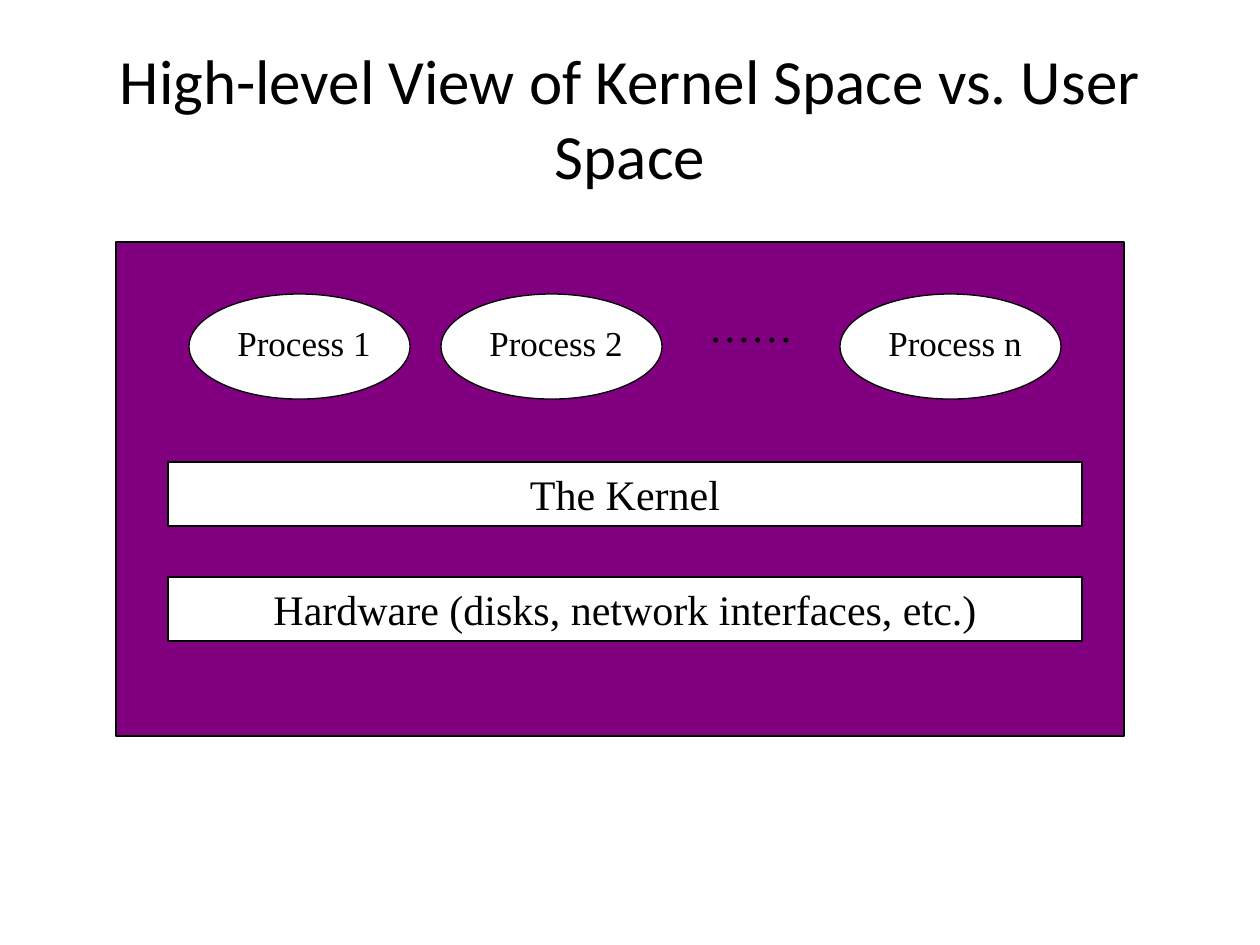
from pptx import Presentation
from pptx.dml.color import RGBColor as RGB
from pptx.enum.shapes import MSO_SHAPE as Kind
from pptx.enum.text import MSO_ANCHOR as Anchor, PP_ALIGN as Align
from pptx.util import Emu, Pt

SCALE = 914400 / 126
SERIF = "Times New Roman"


def px(n):
    return Emu(round(n * SCALE))


def paint(color, code):
    color.rgb = RGB.from_string(code)


def write(frame, text, size, face=SERIF, anchor=Anchor.TOP):
    frame.word_wrap = True
    frame.vertical_anchor = anchor
    para = frame.paragraphs[0]
    para.alignment = Align.CENTER
    run = para.add_run()
    run.text = text
    run.font.size = Pt(size)
    run.font.name = face
    paint(run.font.color, "000000")


def block(slide, kind, box, fill):
    shape = slide.shapes.add_shape(kind, *map(px, box))
    shape.shadow.inherit = False
    shape.fill.solid()
    paint(shape.fill.fore_color, fill)
    shape.line.width = Pt(0.75)
    paint(shape.line.color, "000000")
    return shape


def label(slide, box, text, size):
    area = slide.shapes.add_textbox(*map(px, box))
    write(area.text_frame, text, size)


def heading(slide, box, text):
    title = slide.shapes.title
    title.left, title.top, title.width, title.height = map(px, box)
    write(title.text_frame, text, 36, "Calibri", Anchor.MIDDLE)


def process(slide, x, y, text):
    block(slide, Kind.OVAL, (x, y, 221, 105), "FFFFFF")
    label(slide, (x + 31, y + 21, 168, 54), text, 20)


def layer(slide, x, y, text):
    bar = block(slide, Kind.RECTANGLE, (x, y, 914, 64), "FFFFFF")
    write(bar.text_frame, text, 24)


def system(slide, box):
    x, y, _, _ = box
    block(slide, Kind.RECTANGLE, box, "800080")
    names = ("The Kernel", "Hardware (disks, network interfaces, etc.)")
    for row, name in enumerate(names):
        layer(slide, x + 52, y + 220 + 115 * row, name)
    for left, name in ((73, "1"), (325, "2"), (724, "n")):
        process(slide, x + left, y + 52, f"Process {name}")
    label(slide, (x + 577, y + 52, 116, 63), "……", 24)


def main():
    deck = Presentation()
    deck.slide_width, deck.slide_height = px(1260), px(945)
    slide = deck.slides.add_slide(deck.slide_layouts[5])
    heading(slide, (63, 38, 1134, 158), "High-level View of Kernel Space vs. User Space")
    system(slide, (116, 242, 1008, 494))
    deck.save("out.pptx")


if __name__ == "__main__":
    main()
